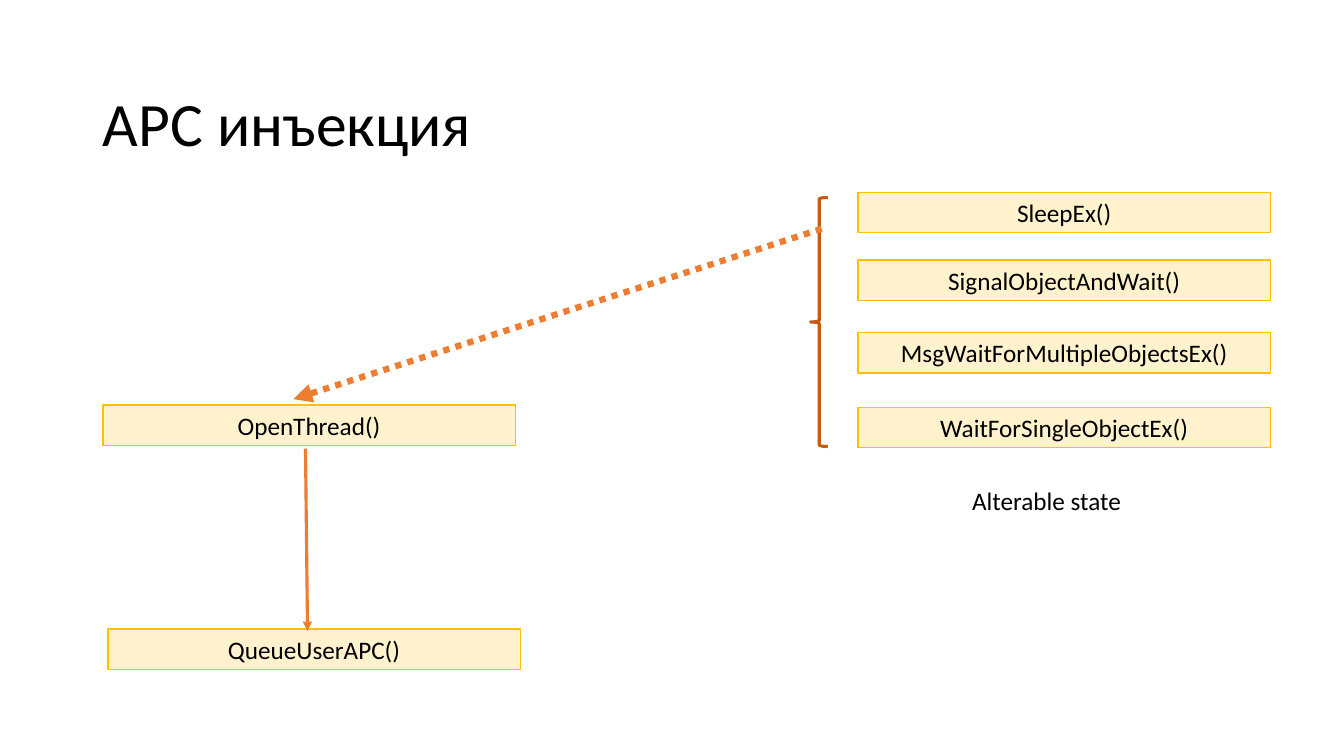
"""Build the APC injection slide."""
from lxml import etree
from pptx import Presentation
from pptx import util as u
from pptx.dml.color import RGBColor
from pptx.enum import dml, shapes, text
from pptx.oxml.ns import qn

TITLE = "APC инъекция"
CALLS = [
    ("OpenThread()", 1.02, 4.02),
    ("QueueUserAPC()", 1.07, 6.24),
    ("SleepEx()", 8.51, 1.91),
    ("SignalObjectAndWait()", 8.51, 2.58),
    ("MsgWaitForMultipleObjectsEx()", 8.51, 3.3),
    ("WaitForSingleObjectEx()", 8.51, 4.04),
]
STATE = ("Alterable state", (8.88, 4.77, 3, 0.4))
BRACE = (8.04, 1.96, 0.17, 2.47)
ARROWS = [
    ((3.03, 4.45, 3.05, 6.26), 2.25, None),
    ((8.15, 2.27, 2.91, 3.96), 4.5, dml.MSO_LINE.ROUND_DOT),
]
SIZE = (4.09, 0.4)
HEX = {"ink": "000000", "box": "FFF2CC", "edge": "FFC000",
       "arrow": "ED7D31", "brace": "C55A11"}
FRAME = {"word_wrap": True, "vertical_anchor": text.MSO_ANCHOR.TOP,
         "auto_size": text.MSO_AUTO_SIZE.SHAPE_TO_FIT_TEXT}
HEAD = {"word_wrap": True, "vertical_anchor": text.MSO_ANCHOR.MIDDLE,
        "auto_size": text.MSO_AUTO_SIZE.NONE}


def inch(nums):
    return [u.Inches(n) for n in nums]


def color(name):
    return RGBColor.from_string(HEX[name])


def write(shape, words, size=18, align=text.PP_ALIGN.CENTER, form=FRAME):
    frame = shape.text_frame
    for key, val in form.items():
        setattr(frame, key, val)
    para = frame.paragraphs[0]
    para.alignment = align
    run = para.add_run()
    run.text = words
    for key, val in {"name": "Calibri", "size": u.Pt(size), "bold": False}.items():
        setattr(run.font, key, val)
    run.font.color.rgb = color("ink")
    return para


def stroke(shape, name, width):
    shape.line.color.rgb = color(name)
    shape.line.width = u.Pt(width)


def add_box(slide, words, left, top):
    box = slide.shapes.add_shape(shapes.MSO_SHAPE.RECTANGLE, *inch((left, top) + SIZE))
    box.shadow.inherit = False
    box.fill.solid()
    box.fill.fore_color.rgb = color("box")
    stroke(box, "edge", 1)
    write(box, words)


def add_arrow(slide, ends, width, dash):
    arrow = slide.shapes.add_connector(shapes.MSO_CONNECTOR.STRAIGHT, *inch(ends))
    stroke(arrow, "arrow", width)
    if dash:
        arrow.line.dash_style = dash
    props = arrow.line._get_or_add_ln()
    etree.SubElement(props, qn("a:tailEnd"), type="triangle")
    etree.SubElement(props.getparent(), qn("a:effectLst"))


def main():
    deck = Presentation()
    deck.slide_width, deck.slide_height = inch((13.33, 7.5))
    slide = deck.slides.add_slide(deck.slide_layouts[5])

    title = slide.shapes.title
    for key, val in zip(("left", "top", "width", "height"), inch((0.92, 0.66, 4.34, 1.19))):
        setattr(title, key, val)
    write(title, TITLE, 44, text.PP_ALIGN.LEFT, HEAD).line_spacing = 0.9

    for call in CALLS:
        add_box(slide, *call)

    brace = slide.shapes.add_shape(shapes.MSO_SHAPE.LEFT_BRACE, *inch(BRACE))
    brace.shadow.inherit = False
    brace.fill.background()
    stroke(brace, "brace", 2.25)

    for arrow in ARROWS:
        add_arrow(slide, *arrow)

    words, place = STATE
    write(slide.shapes.add_textbox(*inch(place)), words)
    deck.save("out.pptx")


if __name__ == "__main__":
    main()
